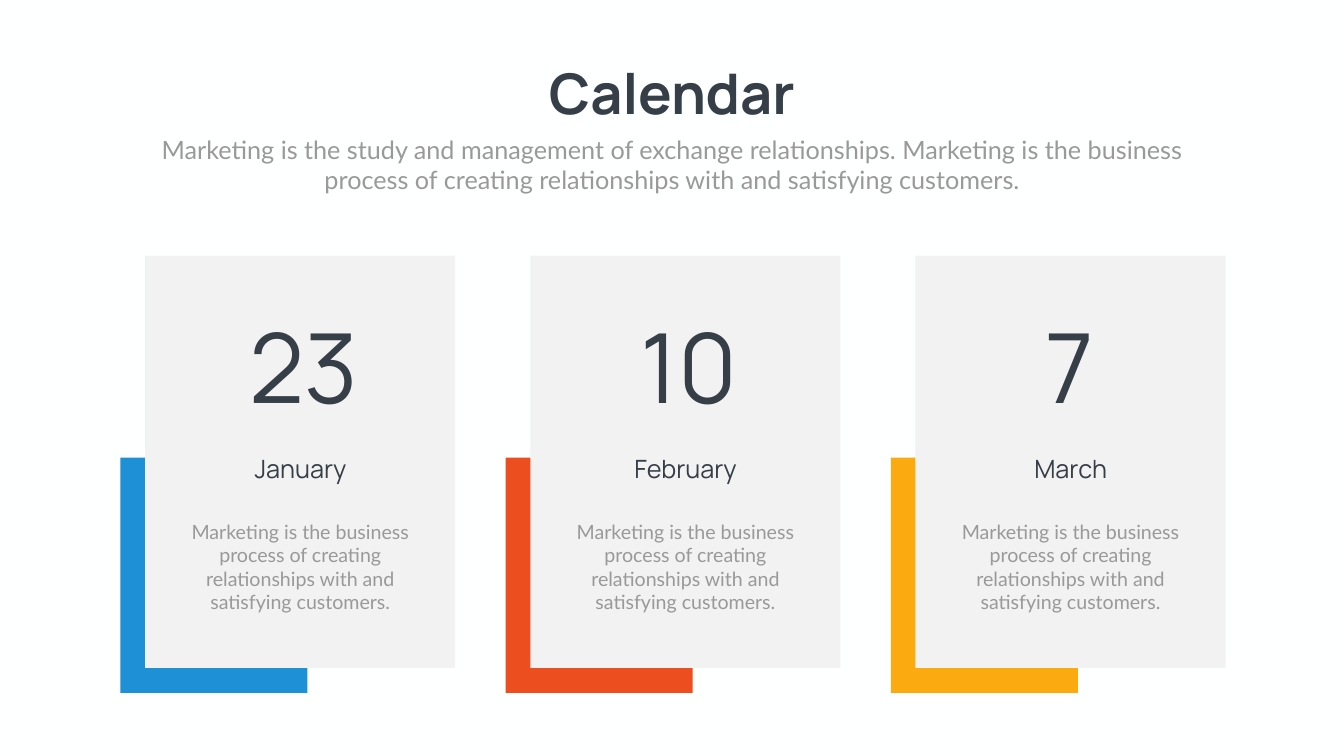
from pptx import Presentation
from pptx.dml.color import RGBColor as Rgb
from pptx.enum.shapes import MSO_SHAPE as Kind
from pptx.enum.text import MSO_ANCHOR as Anchor, MSO_AUTO_SIZE as Fit, PP_ALIGN as Align
from pptx.util import Inches, Pt

HUES = {
    "back": "FEFFFF", "ink": "363E48", "gray": "999999", "card": "F2F2F2",
    "blue": "1E90D5", "red": "EC4E1F", "gold": "FBAA10",
}
HEAD, BODY = "Manrope", "Lato"
BLURB = "Marketing is the business process of creating relationships with and satisfying customers."
LEAD = "Marketing is the study and management of exchange relationships. " + BLURB
DATES = [
    ("23", "January", "blue", 0.95),
    ("10", "February", "red", 0.95),
    ("7", "March", "gold", 0.86),
]
LEFT, STEP = 2.88, 7.64


def hue(name):
    return Rgb.from_string(HUES[name])


def write(frame, text, size, font=HEAD, color="ink", bold=False, lines=None):
    para = frame.paragraphs[0]
    para.alignment = Align.CENTER
    if lines:
        para.line_spacing = lines
    run = para.add_run()
    run.text = text
    run.font.size = Pt(size)
    run.font.name = font
    run.font.bold = bold
    run.font.color.rgb = hue(color)


class Deck:
    """Holds the style and the current slide."""

    def __init__(self, wide, high):
        self.show = Presentation()
        self.show.slide_width = Inches(wide)
        self.show.slide_height = Inches(high)
        self.slide = self.show.slides.add_slide(self.show.slide_layouts[6])
        fill = self.slide.background.fill
        fill.solid()
        fill.fore_color.rgb = hue("back")

    def text(self, box, words, size, wrap=True, tight=False, **form):
        frame = self.slide.shapes.add_textbox(*map(Inches, box)).text_frame
        frame.word_wrap = wrap
        frame.auto_size = Fit.SHAPE_TO_FIT_TEXT
        if tight:
            frame.margin_left = frame.margin_right = 0
            frame.margin_top = frame.margin_bottom = 0
            frame.vertical_anchor = Anchor.MIDDLE
        write(frame, words, size, **form)

    def block(self, box, color):
        shape = self.slide.shapes.add_shape(Kind.RECTANGLE, *map(Inches, box))
        shape.shadow.inherit = False
        shape.fill.solid()
        shape.fill.fore_color.rgb = hue(color)
        shape.line.fill.background()

    def card(self, left, day, month, color, inset):
        self.block((left - 0.49, 9.08, 3.71, 4.67), color)
        self.block((left, 5.07, 6.15, 8.18), "card")
        self.text((left + 0.67, 10.26, 4.81, 1.99), BLURB, 28, font=BODY, color="gray")
        self.text((left + 0.86, 8.94, 4.44, 0.71), month, 36)
        self.text((left + inset, 6.3, 4.38, 2.15), day, 138, tight=True, lines=0.9)


def main():
    deck = Deck(26.66, 15)
    deck.text((10.53, 1.12, 5.6, 1.45), "Calendar", 80, wrap=False, bold=True)
    deck.text((2.92, 2.61, 20.82, 1.31), LEAD, 36, font=BODY, color="gray")
    for i, date in enumerate(DATES):
        deck.card(LEFT + i * STEP, *date)
    deck.show.save("out.pptx")


if __name__ == "__main__":
    main()
